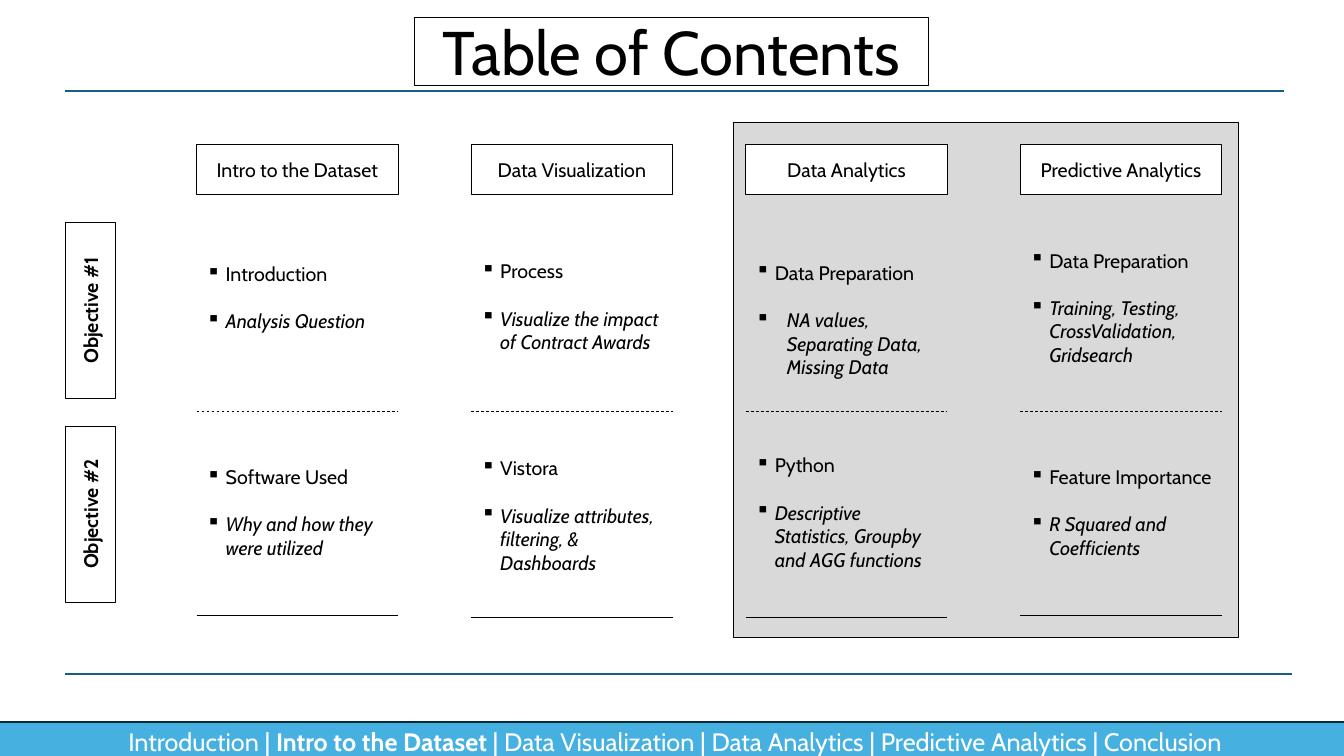
from dataclasses import dataclass

from lxml.etree import SubElement
from pptx import Presentation
from pptx.dml.color import RGBColor
from pptx.enum.dml import MSO_LINE
from pptx.enum.shapes import MSO_CONNECTOR, MSO_SHAPE
from pptx.enum.text import MSO_ANCHOR, PP_ALIGN
from pptx.oxml.ns import qn
from pptx.util import Inches, Pt


@dataclass(frozen=True)
class Theme:
    font: str = "Cabin"
    black: str = "000000"
    white: str = "FFFFFF"
    panel: str = "D9D9D9"
    rule: str = "156082"
    footer: str = "46B1E1"
    footer_edge: str = "092A39"
    title_size: int = 44
    footer_size: int = 18
    body_size: int = 14
    item_gap: int = 17
    thin: float = 0.5
    thick: float = 1.5


THEME = Theme()

# Grid, in inches
COLUMN_LEFT, COLUMN_PITCH, COLUMN_WIDTH = 1.95, 2.723, 2
HEADER_TOP, HEADER_HEIGHT = 1.43, 0.5
ROW_CENTERS = (3.08, 5.1)
OBJECTIVE_CENTER, OBJECTIVE_LENGTH, OBJECTIVE_THICKNESS = 0.895, 1.75, 0.5
DIVIDER_Y = 4.08
CELL_HEIGHT = 1.78
HANGING, WIDE_HANGING = 0.19, 0.31

# Header, bottom line, then cells: text center, topic, detail, detail indent
COLUMNS = (
    ("Intro to the Dataset", 6.1, (
        (2.95, "Introduction", "Analysis Question", HANGING),
        (5.08, "Software Used", "Why and how they were utilized", HANGING))),
    ("Data Visualization", 6.12, (
        (3.04, "Process", "Visualize the impact of Contract Awards", HANGING),
        (5.11, "Vistora", "Visualize attributes, filtering, & Dashboards", HANGING))),
    ("Data Analytics", 6.12, (
        (3.17, "Data Preparation", "NA values, Separating Data, Missing Data", WIDE_HANGING),
        (5.08, "Python", "Descriptive Statistics, Groupby and AGG functions", HANGING))),
    ("Predictive Analytics", 6.1, (
        (3.05, "Data Preparation", "Training, Testing, CrossValidation, Gridsearch", HANGING),
        (5.08, "Feature Importance", "R Squared and Coefficients", HANGING))),
)


def rgb(color):
    return RGBColor.from_string(color)


def style_font(font, size, color=THEME.black):
    font.name = THEME.font
    font.size = Pt(size)
    font.color.rgb = rgb(color)


def add_box(slide, left, top, width, height, fill=None, line=THEME.black, weight=THEME.thin):
    shape = slide.shapes.add_shape(
        MSO_SHAPE.RECTANGLE, Inches(left), Inches(top), Inches(width), Inches(height))
    shape.shadow.inherit = False
    if fill:
        shape.fill.solid()
        shape.fill.fore_color.rgb = rgb(fill)
    else:
        shape.fill.background()
    shape.line.color.rgb = rgb(line)
    shape.line.width = Pt(weight)
    return shape


def write_centered(shape, text, size=THEME.body_size, color=THEME.black):
    shape.text_frame.vertical_anchor = MSO_ANCHOR.MIDDLE
    paragraph = shape.text_frame.paragraphs[0]
    paragraph.text = text
    paragraph.alignment = PP_ALIGN.CENTER
    style_font(paragraph.font, size, color)
    return paragraph


def add_rule(slide, left, right, y, color=THEME.black, weight=THEME.thin, dash=None):
    connector = slide.shapes.add_connector(
        MSO_CONNECTOR.STRAIGHT, Inches(left), Inches(y), Inches(right), Inches(y))
    connector.line.color.rgb = rgb(color)
    connector.line.width = Pt(weight)
    if dash:
        connector.line.dash_style = dash
    SubElement(connector.element.spPr, qn("a:effectLst"))


def set_bullet(paragraph, indent):
    properties = paragraph._p.get_or_add_pPr()
    properties.set("marL", str(Inches(indent)))
    properties.set("indent", str(-Inches(indent)))
    SubElement(properties, qn("a:buChar")).set("char", "▪")


def add_cell(slide, left, center, topic, detail, detail_indent):
    """Bulleted topic with its italic detail, centered vertically on a height."""
    box = slide.shapes.add_textbox(
        Inches(left), Inches(center - CELL_HEIGHT / 2), Inches(COLUMN_WIDTH), Inches(CELL_HEIGHT))
    frame = box.text_frame
    frame.word_wrap = True
    frame.vertical_anchor = MSO_ANCHOR.MIDDLE
    frame.text = f"{topic}\n{detail}"
    topic_paragraph, detail_paragraph = frame.paragraphs
    detail_paragraph.space_before = Pt(THEME.item_gap)
    detail_paragraph.font.italic = True
    for paragraph, indent in ((topic_paragraph, HANGING), (detail_paragraph, detail_indent)):
        style_font(paragraph.font, THEME.body_size)
        set_bullet(paragraph, indent)


def add_column(slide, index, header, bottom, cells):
    left = COLUMN_LEFT + index * COLUMN_PITCH
    right = left + COLUMN_WIDTH
    box = add_box(slide, left, HEADER_TOP, COLUMN_WIDTH, HEADER_HEIGHT, THEME.white)
    write_centered(box, header)
    add_rule(slide, left, right, DIVIDER_Y, dash=MSO_LINE.DASH)
    add_rule(slide, left, right, bottom)
    for cell in cells:
        add_cell(slide, left, *cell)


def add_objective(slide, number, center):
    box = add_box(slide, OBJECTIVE_CENTER - OBJECTIVE_LENGTH / 2,
                  center - OBJECTIVE_THICKNESS / 2, OBJECTIVE_LENGTH, OBJECTIVE_THICKNESS)
    box.rotation = 270
    write_centered(box, f"Objective #{number}").font.bold = True


def add_title(slide):
    box = add_box(slide, 4.11, 0.17, 5.1, 0.68)
    paragraph = write_centered(box, "Table of Contents", THEME.title_size)
    paragraph.line_spacing = 0.9
    box.text_frame.vertical_anchor = MSO_ANCHOR.TOP


def add_footer(slide):
    bar = add_box(slide, -0.09, 7.16, 13.57, 0.4, THEME.footer, THEME.footer_edge, THEME.thick)
    paragraph = write_centered(bar, "", THEME.footer_size, THEME.white)
    for text, bold in (
            ("Introduction | ", False),
            ("Intro to the Dataset ", True),
            ("| Data Visualization | Data Analytics | Predictive Analytics | Conclusion", False)):
        run = paragraph.add_run()
        run.text = text
        run.font.bold = bold
        style_font(run.font, THEME.footer_size, THEME.white)


def main():
    presentation = Presentation()
    presentation.slide_width = Inches(13.33)
    presentation.slide_height = Inches(7.5)
    slide = presentation.slides.add_slide(presentation.slide_layouts[6])

    add_box(slide, 7.27, 1.21, 5.01, 5.11, THEME.panel)
    for number, center in enumerate(ROW_CENTERS, start=1):
        add_objective(slide, number, center)
    for index, column in enumerate(COLUMNS):
        add_column(slide, index, *column)
    for right, y in ((12.73, 0.9), (12.81, 6.69)):
        add_rule(slide, 0.64, right, y, THEME.rule, THEME.thick)
    add_footer(slide)
    add_title(slide)
    presentation.save("out.pptx")


if __name__ == "__main__":
    main()
